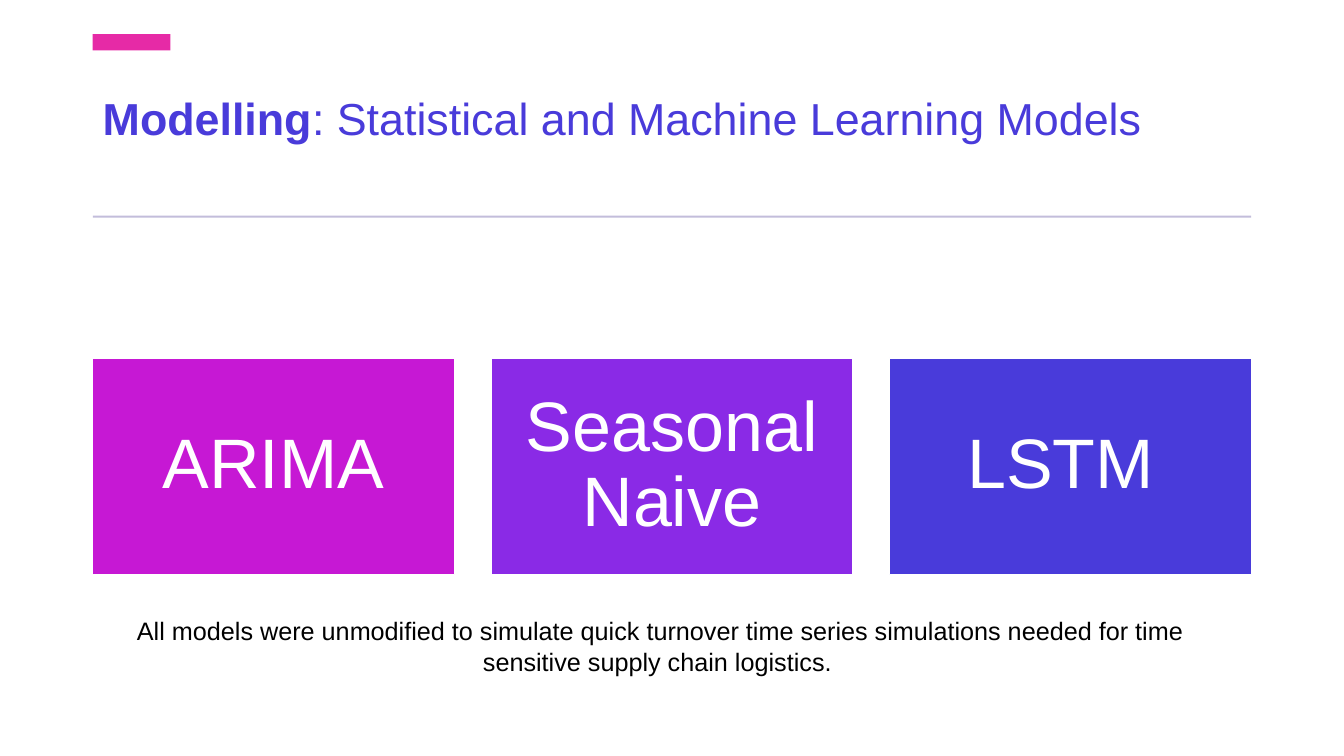
"""Build the modelling overview slide with its three model cards."""
import pptx
import pptx.dml.color
import pptx.enum.shapes
import pptx.enum.text
import pptx.util

Inches = pptx.util.Inches
Pt = pptx.util.Pt
RGBColor = pptx.dml.color.RGBColor
ALIGN = pptx.enum.text.PP_ALIGN
ANCHOR = pptx.enum.text.MSO_ANCHOR

WHITE = RGBColor(0xFF, 0xFF, 0xFF)
BLACK = RGBColor(0x00, 0x00, 0x00)
INDIGO = RGBColor(0x49, 0x3B, 0xDA)
PINK = RGBColor(0xE6, 0x2A, 0xA6)
MAGENTA = RGBColor(0xC6, 0x18, 0xD4)
VIOLET = RGBColor(0x8A, 0x2A, 0xE6)
LILAC = RGBColor(0xC3, 0xBD, 0xDB)

FONT = "Arial"
TITLE = [("Modelling", True), (": Statistical and Machine Learning Models", False)]
MODELS = [("ARIMA", MAGENTA), ("Seasonal Naive", VIOLET), ("LSTM ", INDIGO)]
NOTE = (" All models were unmodified to simulate quick turnover time series simulations "
        "needed for time sensitive supply chain logistics.")

LEFT, WIDTH = 0.92, 11.49
CARD_TOP, CARD_W, CARD_H = 3.55, 3.59, 2.15
CARD_STEP = (WIDTH - CARD_W) / (len(MODELS) - 1)
CARD_INSET = 0.21


def add_rect(slide, x, y, w, h, color):
    sp = slide.shapes.add_shape(pptx.enum.shapes.MSO_SHAPE.RECTANGLE,
                                Inches(x), Inches(y), Inches(w), Inches(h))
    sp.shadow.inherit = False
    sp.fill.solid()
    sp.fill.fore_color.rgb = color
    sp.line.fill.background()
    return sp


def add_box(slide, x, y, w, h):
    sp = slide.shapes.add_textbox(Inches(x), Inches(y), Inches(w), Inches(h))
    sp.text_frame.word_wrap = True
    return sp.text_frame


def style(r, size, color, bold=False):
    r.font.name = FONT
    r.font.size = Pt(size)
    r.font.bold = bold
    r.font.color.rgb = color


def add_title(slide):
    tf = add_box(slide, LEFT, 0.75, WIDTH, 1.27)
    tf.vertical_anchor = ANCHOR.BOTTOM
    tf.margin_bottom = Inches(0.58)
    p = tf.paragraphs[0]
    p.line_spacing = 0.9
    for text, bold in TITLE:
        r = p.add_run()
        r.text = text
        style(r, 32, INDIGO, bold)


def add_card(slide, index, name, color):
    sp = add_rect(slide, LEFT + index * CARD_STEP, CARD_TOP, CARD_W, CARD_H, color)
    sp.line.color.rgb = WHITE
    sp.line.width = Pt(1)
    tf = sp.text_frame
    tf.word_wrap = True
    tf.vertical_anchor = ANCHOR.MIDDLE
    tf.margin_left = tf.margin_right = Inches(CARD_INSET)
    tf.margin_top = tf.margin_bottom = Inches(CARD_INSET)
    tf.text = name
    p = tf.paragraphs[0]
    p.alignment = ALIGN.CENTER
    p.line_spacing = 0.9
    style(p.runs[0], 50, WHITE)


def add_note(slide):
    tf = add_box(slide, 0.7, 6.06, 11.64, 0.71)
    tf.text = NOTE
    p = tf.paragraphs[0]
    p.alignment = ALIGN.CENTER
    style(p.runs[0], 18, BLACK)


def main():
    prs = pptx.Presentation()
    prs.slide_width, prs.slide_height = Inches(13.33), Inches(7.5)
    slide = prs.slides.add_slide(prs.slide_layouts[6])
    add_title(slide)
    add_rect(slide, LEFT, 0.34, 0.77, 0.16, PINK)
    add_rect(slide, LEFT, 2.14, WIDTH, 0.02, LILAC)
    for i, (name, color) in enumerate(MODELS):
        add_card(slide, i, name, color)
    add_note(slide)
    prs.save("out.pptx")


if __name__ == "__main__":
    main()
